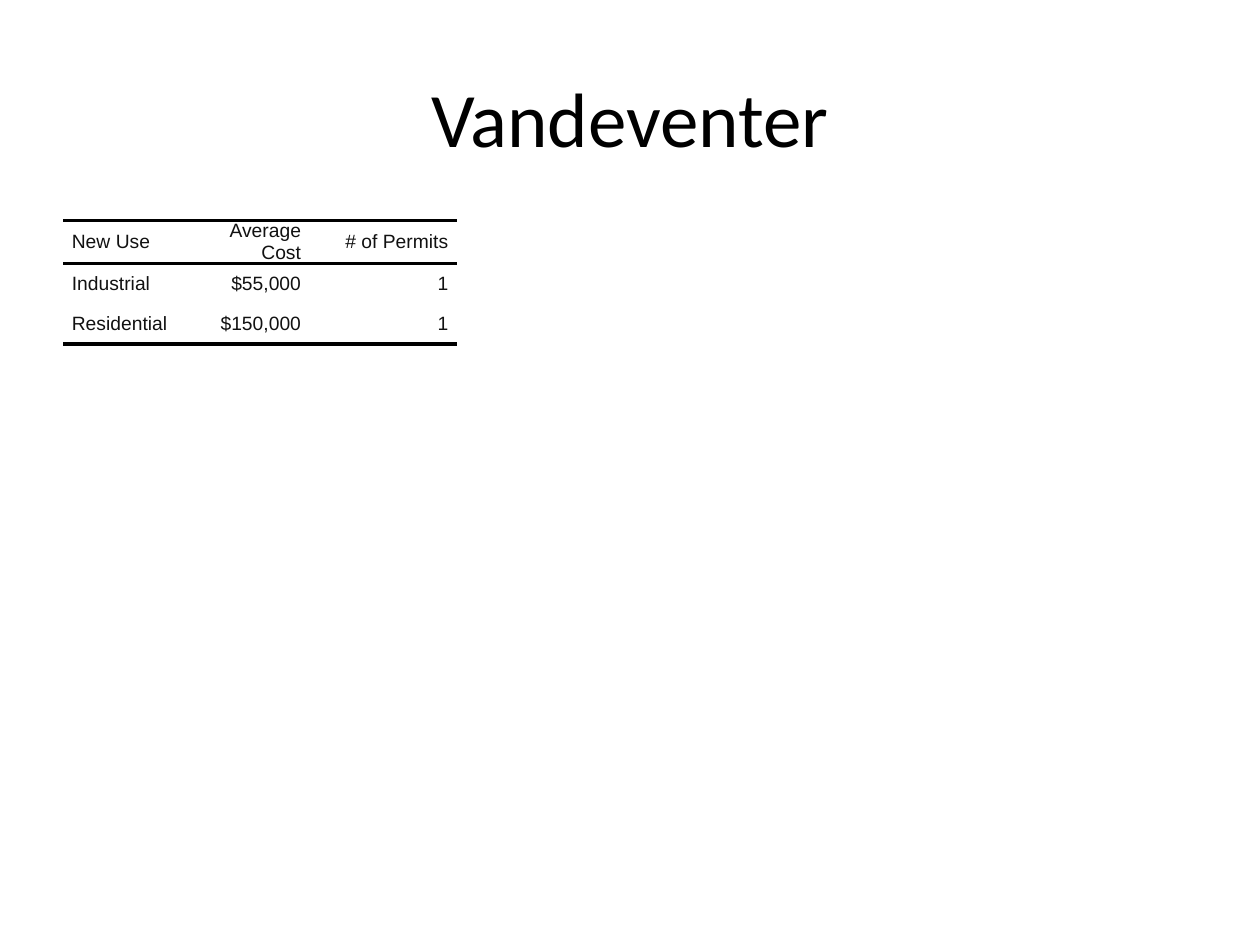
from lxml.etree import SubElement
from pptx import Presentation
from pptx.dml.color import RGBColor
from pptx.enum.text import MSO_ANCHOR, PP_ALIGN
from pptx.oxml.ns import qn
from pptx.util import Inches, Pt

TITLE = "Vandeventer"
ROWS = [
    ("New Use", "Average Cost", "# of Permits"),
    ("Industrial", "$55,000", "1"),
    ("Residential", "$150,000", "1"),
]
COL_WIDTHS = (1.04, 0.92, 1.17)
ROW_HEIGHTS = (0.31, 0.32, 0.32)
RULED_EDGES = (0, 1, len(ROWS))
WIDTH, HEIGHT = 10, 7.5
MARGIN = WIDTH * 0.05
INDENT = 0.07
BLACK = RGBColor(0x00, 0x00, 0x00)
INK = RGBColor(0x11, 0x11, 0x11)


def write(tf, text, font="Arial", size=11, color=INK, align=PP_ALIGN.LEFT, indent=0):
    """Fill a text frame with one formatted paragraph."""
    p = tf.paragraphs[0]
    p.alignment = align
    if indent:
        pPr = p._p.get_or_add_pPr()
        for side in ("marL", "marR"):
            pPr.set(side, str(Inches(indent)))
    r = p.add_run()
    r.text = text
    r.font.name, r.font.size, r.font.color.rgb = font, Pt(size), color


def set_borders(cell, row):
    """Rule the cell's top and bottom where the row edge is ruled."""
    tcPr = cell._tc.get_or_add_tcPr()
    ruled = {"a:lnL": False, "a:lnR": False,
             "a:lnT": row in RULED_EDGES, "a:lnB": row + 1 in RULED_EDGES}
    for tag, on in ruled.items():
        ln = SubElement(tcPr, qn(tag), w=str(Pt(2) if on else 0))
        if on:
            fill = SubElement(ln, qn("a:solidFill"))
            SubElement(fill, qn("a:srgbClr"), val=str(BLACK))
        else:
            SubElement(ln, qn("a:noFill"))


def add_title(s):
    """Place and format the title placeholder."""
    sp = s.shapes.title
    sp.left, sp.top = Inches(MARGIN), Inches(HEIGHT * 0.04)
    sp.width, sp.height = Inches(WIDTH - 2 * MARGIN), Inches(1.25)
    sp.text_frame.vertical_anchor = MSO_ANCHOR.MIDDLE
    write(sp.text_frame, TITLE, font="Calibri", size=44, color=BLACK, align=PP_ALIGN.CENTER)


def add_permits(s):
    """Add the permits table."""
    table = s.shapes.add_table(
        len(ROWS), len(COL_WIDTHS), Inches(MARGIN), Inches(1.75),
        Inches(sum(COL_WIDTHS)), Inches(sum(ROW_HEIGHTS))).table
    table.first_row = table.horz_banding = False
    for col, width in zip(table.columns, COL_WIDTHS):
        col.width = Inches(width)
    for i, (values, height) in enumerate(zip(ROWS, ROW_HEIGHTS)):
        table.rows[i].height = Inches(height)
        for j, text in enumerate(values):
            cell = table.cell(i, j)
            cell.margin_left = cell.margin_right = cell.margin_top = cell.margin_bottom = 0
            cell.vertical_anchor = MSO_ANCHOR.MIDDLE
            set_borders(cell, i)
            cell.fill.background()
            write(cell.text_frame, text, indent=INDENT,
                  align=PP_ALIGN.RIGHT if j else PP_ALIGN.LEFT)


def main():
    """Build and save the slide."""
    prs = Presentation()
    prs.slide_width, prs.slide_height = Inches(WIDTH), Inches(HEIGHT)
    s = prs.slides.add_slide(prs.slide_layouts[5])
    add_title(s)
    add_permits(s)
    prs.save("out.pptx")


if __name__ == "__main__":
    main()
